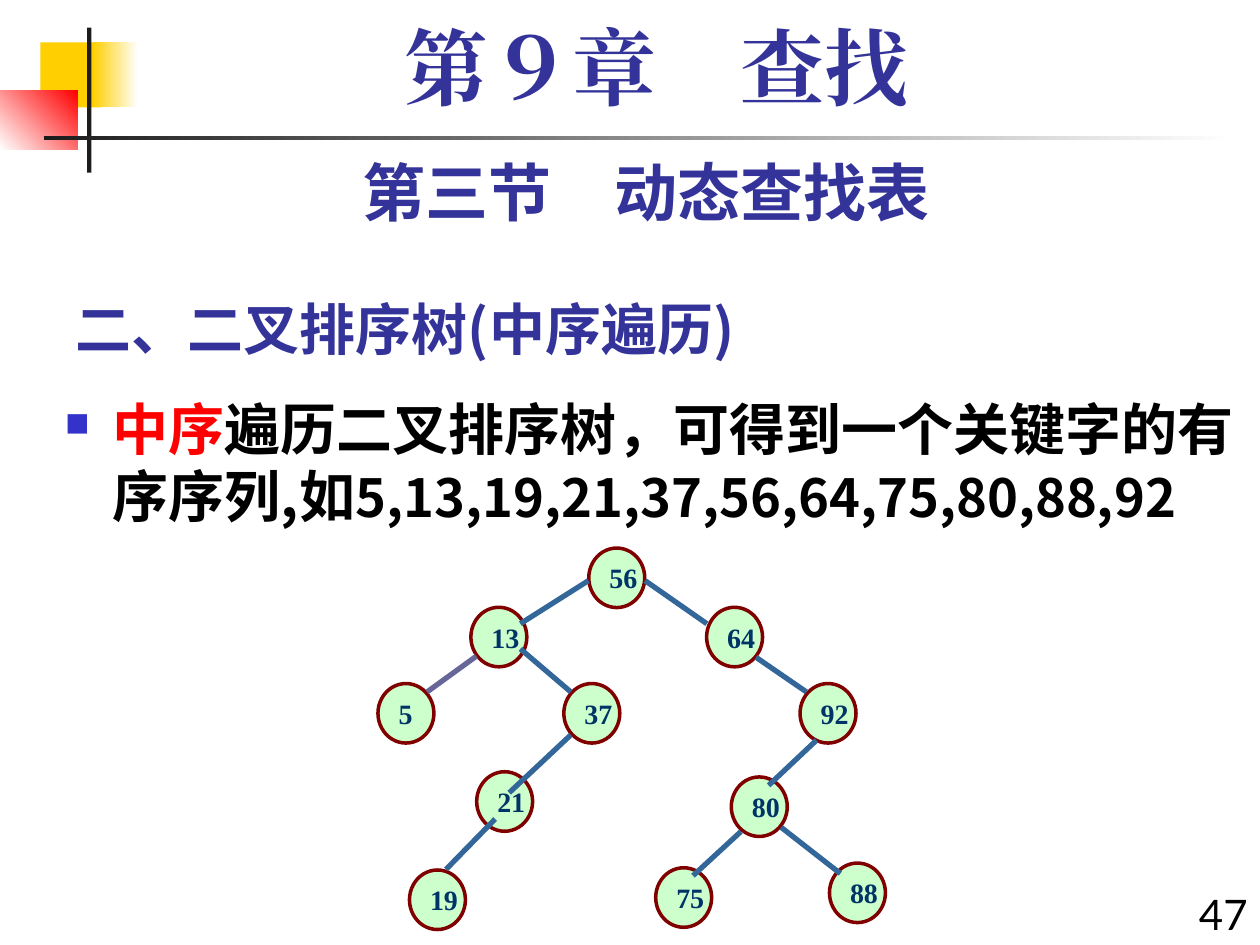
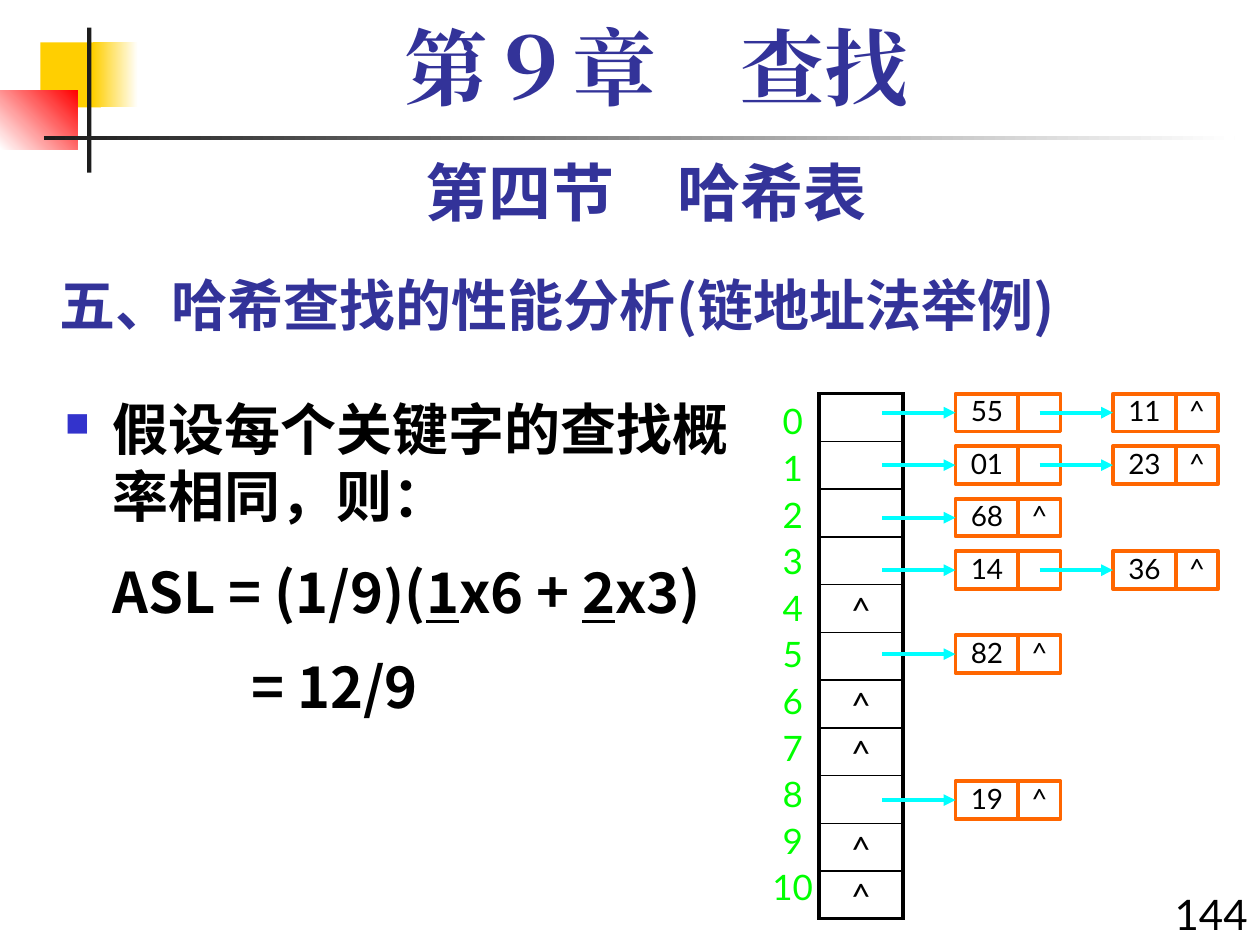
"""Build two lecture slides: a binary search tree and a chained hash table."""
from dataclasses import dataclass, field
from typing import Any, NamedTuple, Optional

from pptx import Presentation
from pptx.dml.color import RGBColor
from pptx.enum.shapes import MSO_CONNECTOR as Connector, MSO_SHAPE as Preset
from pptx.enum.text import MSO_ANCHOR as Anchor, PP_ALIGN as Align
from pptx.oxml.ns import qn
from pptx.util import Emu, Inches, Pt
from lxml.etree import SubElement

COLORS = {
    "gold": "FFCF01", "white": "FFFFFF", "red": "FF0000", "ink": "1C1C1C",
    "heading": "333399", "black": "000000", "bullet": "3333CC",
    "node": "CCFFCC", "ring": "800000", "key": "003366",
    "edge": "336699", "violet": "666699",
    "index": "00FF00", "cell": "FF6600", "arrow": "00FFFF",
}
COLUMNS, ROWS = 120, 90
WIDTH, HEIGHT = Inches(10), Inches(7.5)
CJK, LATIN, SERIF = "Noto Sans CJK SC", "Lato", "Times New Roman"

HEADING = {"size": Pt(32), "name": CJK, "bold": True, "color": "heading"}
SECTION = {"size": Pt(36), "name": LATIN, "bold": True, "color": "heading"}
CHAPTER = {"size": Pt(48), "name": SERIF, "bold": True, "color": "heading"}
BODY = {"size": Pt(32), "name": CJK, "bold": True, "color": "black"}
NUMBER = {"size": Pt(24), "name": LATIN, "color": "black"}
INDEX = {"size": Pt(20), "name": LATIN, "color": "index"}
NULL = {"size": Pt(20), "name": LATIN, "color": "black"}
LINK = {"size": Pt(16), "name": LATIN, "color": "black"}
KEY = {"size": Pt(16), "name": SERIF, "bold": True, "color": "key"}
CENTERED = {"alignment": Align.CENTER}


class Box(NamedTuple):
    """A rectangle in grid columns and rows."""
    column: float
    row: float
    width: float
    height: float


class Run(NamedTuple):
    """Text with the font values that differ from its paragraph."""
    text: str
    changes: dict[str, Any] = {}


@dataclass
class Line:
    """A paragraph: its runs, layout values, indents in inches and bullet."""
    runs: list[Run]
    layout: dict[str, Any] = field(default_factory=dict)
    margin: float = 0
    indent: float = 0
    bullet: bool = False


class Band(NamedTuple):
    """A decorative rectangle with one colour or a gradient."""
    box: Box
    start: str
    end: Optional[str] = None
    angle: float = 0


class Node(NamedTuple):
    """A tree node at the left and top of its circle."""
    key: str
    column: float
    row: float


class Edge(NamedTuple):
    """A tree branch between two grid points."""
    start: tuple[float, float]
    end: tuple[float, float]
    color: str = "edge"


class Chain(NamedTuple):
    """The keys that hang from one bucket."""
    row: float
    keys: tuple[str, ...]


BANDS = [
    Band(Box(3.84, 4.05, 5.76, 6.2), "gold"),
    Band(Box(8.85, 4.05, 4.3, 6.2), "gold", "white"),
    Band(Box(0, 8.6, 7.4, 5.6), "white", "red", 45),
    Band(Box(8.3, 2.64, 0.4, 13.8), "ink"),
    Band(Box(4.2, 12.96, 113.4, 0.4), "ink", "white"),
]
NODES = [
    Node("56", 56.08, 52.2), Node("64", 67.3, 57.84), Node("5", 36, 65.1),
    Node("92", 76.2, 65.1), Node("37", 53.7, 65.1), Node("88", 79, 82.2),
    Node("19", 39, 82.86), Node("80", 69.65, 74), Node("21", 45.4, 73.5),
    Node("13", 44.85, 57.84), Node("75", 62.45, 82.65),
]
EDGES = [
    Edge((56.04, 55.3), (49.56, 59.4)),
    Edge((45.36, 62.5), (40.68, 65.9), "violet"),
    Edge((61.44, 55.3), (67.32, 59.4)), Edge((49.56, 61.8), (54.36, 65.9)),
    Edge((54.36, 70), (48.5, 75.5)), Edge((72, 62.6), (76.8, 65.9)),
    Edge((77.76, 70.5), (73.2, 74.8)), Edge((74.4, 78.8), (80.04, 83.2)),
    Edge((47.16, 78), (42.48, 82.8)), Edge((70.56, 79.2), (66, 83.4)),
]
CHAINS = [
    Chain(37.5, ("55", "11")), Chain(42.5, ("01", "23")), Chain(47.5, ("68",)),
    Chain(52.5, ("14", "36")), Chain(60.5, ("82",)), Chain(74.4, ("19",)),
]
BUCKETS = 11
EMPTY_BUCKETS = {4, 6, 7, 9, 10}


def across(columns: float) -> Emu:
    """Turn grid columns into a length."""
    return Emu(round(WIDTH * columns / COLUMNS))


def down(rows: float) -> Emu:
    """Turn grid rows into a length."""
    return Emu(round(HEIGHT * rows / ROWS))


def place(box: Box) -> tuple[Emu, Emu, Emu, Emu]:
    """Turn a grid box into left, top, width and height."""
    return across(box.column), down(box.row), across(box.width), down(box.height)


def color(name: str) -> RGBColor:
    """Look up a colour by name."""
    return RGBColor.from_string(COLORS[name])


def assign(target: Any, values: dict[str, Any]) -> None:
    """Set each value of a dict as an attribute."""
    for name, value in values.items():
        setattr(target, name, value)


def add_run(paragraph: Any, run: Run, style: dict[str, Any]) -> None:
    """Append a styled run, with one face for all scripts."""
    values = {**style, **run.changes}
    piece = paragraph.add_run()
    piece.text = run.text
    piece.font.color.rgb = color(values.pop("color"))
    assign(piece.font, values)
    SubElement(piece.font._element, qn("a:ea"), typeface=values["name"])


def add_bullet(properties: Any) -> None:
    """Give a paragraph the small square bullet."""
    tint = SubElement(properties, qn("a:buClr"))
    SubElement(tint, qn("a:srgbClr"), val=COLORS["bullet"])
    SubElement(properties, qn("a:buSzPct"), val="60000")
    SubElement(properties, qn("a:buChar"), char="■")


def write(frame: Any, lines: list[Line], style: dict[str, Any], **settings: Any) -> None:
    """Fill a text frame with paragraphs."""
    assign(frame, {"word_wrap": True, **settings})
    for number, line in enumerate(lines):
        paragraph = frame.add_paragraph() if number else frame.paragraphs[0]
        properties = paragraph._p.get_or_add_pPr()
        properties.set("marL", str(Inches(line.margin)))
        properties.set("indent", str(Inches(line.indent)))
        if line.bullet:
            add_bullet(properties)
        assign(paragraph, {"alignment": Align.LEFT, **line.layout})
        for run in line.runs:
            add_run(paragraph, run, style)


def add_text(slide: Any, box: Box, lines: list[Line], style: dict[str, Any], **settings: Any) -> None:
    """Add a text box."""
    write(slide.shapes.add_textbox(*place(box)).text_frame, lines, style, **settings)


def add_outline(slide: Any, preset: Preset, box: Box, outline: str, weight: float) -> Any:
    """Add an unfilled preset shape with a coloured outline."""
    shape = slide.shapes.add_shape(preset, *place(box))
    shape.shadow.inherit = False
    shape.fill.background()
    shape.line.color.rgb = color(outline)
    shape.line.width = Pt(weight)
    return shape


def add_line(slide: Any, edge: Edge, weight: float) -> Any:
    """Add a straight connector without shadow."""
    (left, top), (right, bottom) = edge.start, edge.end
    connector = slide.shapes.add_connector(
        Connector.STRAIGHT, across(left), down(top), across(right), down(bottom))
    connector.line.color.rgb = color(edge.color)
    connector.line.width = Pt(weight)
    SubElement(connector._element.spPr, qn("a:effectLst"))
    return connector


def add_band(slide: Any, band: Band) -> None:
    """Draw one piece of the header decoration."""
    shape = slide.shapes.add_shape(Preset.RECTANGLE, *place(band.box))
    shape.shadow.inherit = False
    shape.line.fill.background()
    if band.end is None:
        shape.fill.solid()
        shape.fill.fore_color.rgb = color(band.start)
        return
    shape.fill.gradient()
    shape.fill.gradient_angle = band.angle
    for stop, name in zip(shape.fill.gradient_stops, (band.start, band.end)):
        stop.color.rgb = color(name)


def add_page(presentation: Any, section: str, heading: str, heading_box: Box, number: str) -> Any:
    """Add a slide with the shared header and page number."""
    slide = presentation.slides.add_slide(presentation.slide_layouts[6])
    for band in BANDS:
        add_band(slide, band)
    add_text(slide, heading_box, [Line([Run(heading)])], HEADING, vertical_anchor=Anchor.BOTTOM)
    add_text(slide, Box(109, 84, 11, 6), [Line([Run(number)], {"alignment": Align.RIGHT})], NUMBER)
    add_text(slide, Box(6, 14, 111, 8.4), [Line([Run(section)], CENTERED)], SECTION)
    add_text(slide, Box(8, 2, 109, 10),
             [Line([Run("第９章　查找")], {**CENTERED, "line_spacing": 0.9})], CHAPTER)
    return slide


def add_tree(slide: Any) -> None:
    """Draw the search tree."""
    for node in NODES:
        circle = add_outline(slide, Preset.OVAL, Box(node.column, node.row, 5.33, 5.67), "ring", 2)
        circle.fill.solid()
        circle.fill.fore_color.rgb = color("node")
        write(circle.text_frame, [Line([Run(node.key)])], KEY,
              word_wrap=False, vertical_anchor=Anchor.MIDDLE)
    for edge in EDGES:
        add_line(slide, edge, 3)


def add_buckets(slide: Any) -> None:
    """Draw the bucket table and its indices."""
    table = slide.shapes.add_table(BUCKETS, 1, *place(Box(78, 37.5, 8, 50))).table
    assign(table, {"first_row": False, "horz_banding": False})
    for number, row in enumerate(table.rows):
        cell = row.cells[0]
        assign(cell, {"margin_top": 0, "margin_bottom": 0})
        properties = cell._tc.get_or_add_tcPr()
        weights = {"lnL": 2.25, "lnR": 2.25, "lnT": 1 if number else 2.25,
                   "lnB": 1 if number < BUCKETS - 1 else 2.25}
        for side, weight in weights.items():
            border = SubElement(properties, qn(f"a:{side}"), w=str(Pt(weight)))
            fill = SubElement(border, qn("a:solidFill"))
            SubElement(fill, qn("a:srgbClr"), val=COLORS["black"])
        cell.fill.background()
        if number in EMPTY_BUCKETS:
            write(cell.text_frame, [Line([Run("^")], {**CENTERED, "line_spacing": 1.1})], NULL)
    indices = [Line([Run(str(number))], {**CENTERED, "space_before": Pt(2.6 if number else 0)})
               for number in range(BUCKETS)]
    add_text(slide, Box(72, 37.5, 7, 50.4), indices, INDEX)


def add_chain(slide: Any, chain: Chain) -> None:
    """Draw the linked cells of one bucket with their arrows."""
    height = 3.6
    middle = chain.row + height / 2
    for number, key in enumerate(chain.keys):
        left = 91 + 15 * number
        link = "^" if number == len(chain.keys) - 1 else ""
        boxes = []
        for text, column, width in ((key, left, 6), (link, left + 6, 4)):
            box = add_outline(slide, Preset.RECTANGLE, Box(column, chain.row, width, height), "cell", 2.25)
            boxes.append(box)
            if text:
                write(box.text_frame, [Line([Run(text)], CENTERED)], LINK, vertical_anchor=Anchor.TOP,
                      margin_left=0, margin_top=0, margin_right=0, margin_bottom=0)
        arrow = add_line(slide, Edge((left - 7, middle), (left, middle), "arrow"), 2.25)
        arrow.end_connect(boxes[0], 1)
        SubElement(arrow.line._get_or_add_ln(), qn("a:tailEnd"), type="triangle")


def main() -> None:
    """Build and save the presentation."""
    presentation = Presentation()
    assign(presentation, {"slide_width": WIDTH, "slide_height": HEIGHT})

    tree = add_page(presentation, "第三节　动态查找表", "二、二叉排序树(中序遍历)", Box(6, 26, 75, 9), "47")
    add_text(tree, Box(5, 37, 115, 53), [Line([
        Run("中序", {"color": "red"}), Run("遍历二叉排序树，可得到一个关键字的有序序列,如"),
        Run("5,13,19,21,37,56,64,75,80,88,92", {"size": Pt(30)}),
    ], margin=0.38, indent=-0.38, bullet=True)], BODY)
    add_tree(tree)

    table = add_page(presentation, "第四节　哈希表", "五、哈希查找的性能分析(链地址法举例)",
                     Box(4.5, 23.75, 114, 9), "144")
    gap = {"space_before": Pt(16)}
    underline = {"underline": True}
    add_text(table, Box(5, 37, 66, 53), [
        Line([Run("假设每个关键字的查找概率相同，则：")], margin=0.38, indent=-0.38, bullet=True),
        Line([Run("ASL = (1/9)("), Run("1", underline), Run("x6 + "), Run("2", underline), Run("x3)")],
             gap, margin=0.38),
        Line([Run("= 12/9")], gap, margin=1.48),
    ], BODY)
    add_buckets(table)
    for chain in CHAINS:
        add_chain(table, chain)
    presentation.save("out.pptx")


if __name__ == "__main__":
    main()
